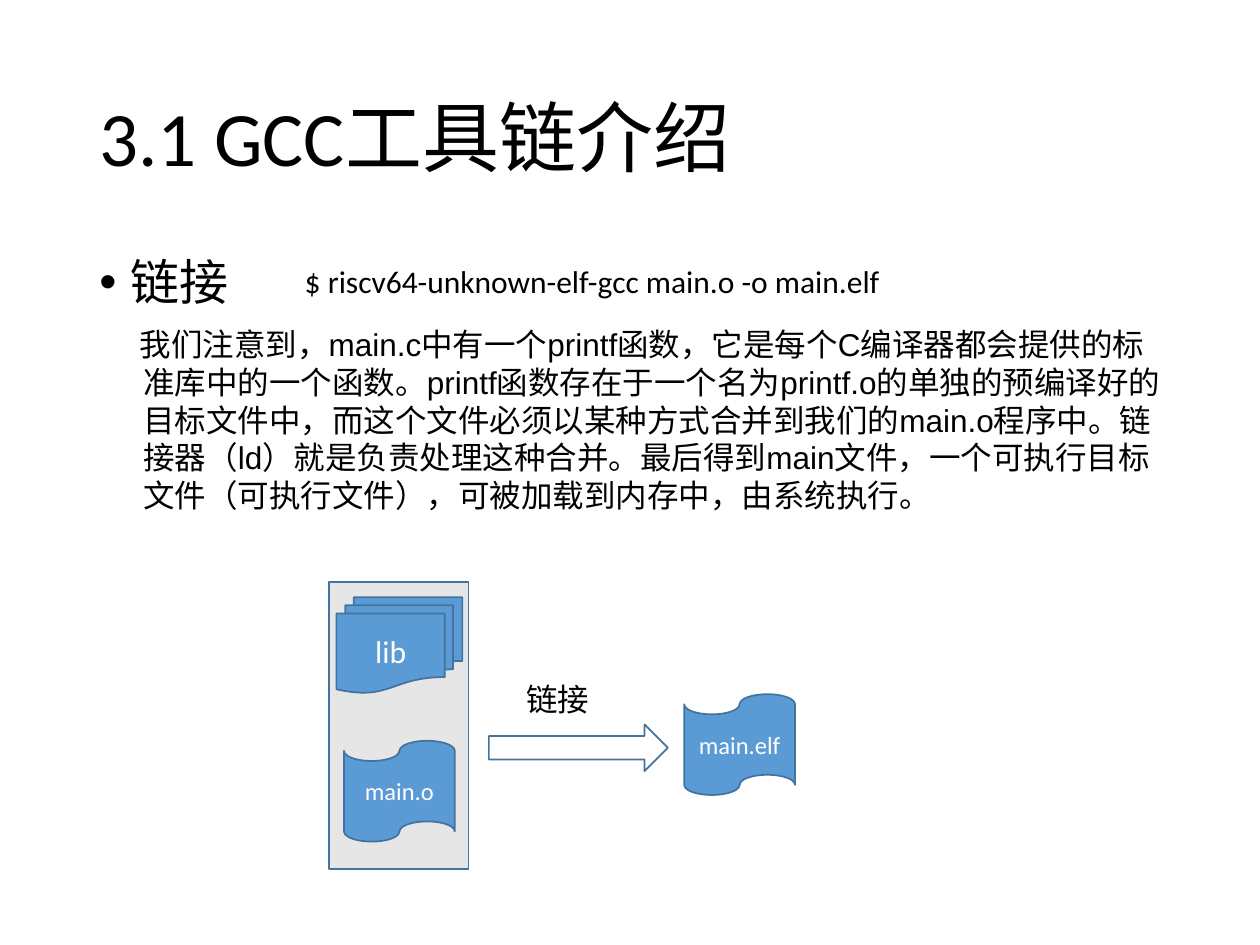
from pptx import Presentation
from pptx.dml.color import RGBColor
from pptx.enum.shapes import MSO_SHAPE
from pptx.enum.text import MSO_ANCHOR, PP_ALIGN
from pptx.oxml import parse_xml
from pptx.oxml.ns import nsdecls
from pptx.util import Inches, Pt

BLUE, EDGE, GREY = "5B9BD5", "43739E", "E7E6E6"
BLACK, WHITE = "000000", "FFFFFF"
STORY = (
    "我们注意到，main.c中有一个printf函数，它是每个C编译器都会提供的标准库中的一个函数。"
    "printf函数存在于一个名为printf.o的单独的预编译好的目标文件中，"
    "而这个文件必须以某种方式合并到我们的main.o程序中。"
    "链接器（ld）就是负责处理这种合并。最后得到main文件，"
    "一个可执行目标文件（可执行文件），可被加载到内存中，由系统执行。"
)


def color(code):
    return RGBColor.from_string(code)


def apply(target, values):
    for name, value in values.items():
        setattr(target, name, value)


def write(frame, text, size, code=BLACK, font="Calibri", **layout):
    par = frame.paragraphs[0]
    apply(par, layout)
    run = par.add_run()
    run.text = text
    apply(run.font, {"name": font, "size": Pt(size)})
    run.font.color.rgb = color(code)
    return par


def label(slide, box, text, size, wrap=True, anchor=MSO_ANCHOR.TOP, **style):
    frame = slide.shapes.add_textbox(*map(Inches, box)).text_frame
    apply(frame, {"word_wrap": wrap, "vertical_anchor": anchor})
    return write(frame, text, size, **style)


def indent(par, left, first, bullet=None):
    props = par._p.get_or_add_pPr()
    props.set("marL", str(Inches(left)))
    props.set("indent", str(Inches(first)))
    if bullet:
        props.append(parse_xml(f'<a:buFont {nsdecls("a")} typeface="Arial"/>'))
        props.append(parse_xml(f'<a:buChar {nsdecls("a")} char="{bullet}"/>'))


def block(slide, kind, box, fill, text="", size=14):
    shape = slide.shapes.add_shape(kind, *map(Inches, box))
    shape.shadow.inherit = False
    shape.fill.solid()
    shape.fill.fore_color.rgb = color(fill)
    shape.line.color.rgb = color(EDGE)
    shape.line.width = Pt(1)
    if text:
        shape.text_frame.vertical_anchor = MSO_ANCHOR.MIDDLE
        write(shape.text_frame, text, size, WHITE, alignment=PP_ALIGN.CENTER)


def main():
    deck = Presentation()
    apply(deck, {"slide_width": Inches(10), "slide_height": Inches(7.5)})
    slide = deck.slides.add_slide(deck.slide_layouts[6])

    # Title and text
    label(slide, (0.69, 0.4, 8.62, 1.45), "3.1 GCC工具链介绍", 44,
          anchor=MSO_ANCHOR.MIDDLE, line_spacing=0.9)
    point = label(slide, (0.69, 2, 8.62, 4.76), "链接", 28,
                  line_spacing=0.9, space_before=Pt(10))
    indent(point, 0.25, -0.25, "•")
    story = label(slide, (0.85, 2.53, 8.46, 2.03), STORY, 18, font="Arial")
    indent(story, 0.19, -0.03)
    label(slide, (2.32, 2.03, 4.82, 0.4),
          "$ riscv64-unknown-elf-gcc main.o -o main.elf", 18, wrap=False)

    # Linker inputs
    tape = MSO_SHAPE.FLOWCHART_PUNCHED_TAPE
    block(slide, MSO_SHAPE.RECTANGLE, (2.61, 4.62, 1.11, 2.28), GREY)
    block(slide, MSO_SHAPE.FLOWCHART_MULTIDOCUMENT, (2.67, 4.74, 1, 0.76),
          BLUE, "lib", 18)
    block(slide, tape, (2.73, 5.88, 0.88, 0.8), BLUE, "main.o")

    # Link step and its result
    block(slide, MSO_SHAPE.RIGHT_ARROW, (3.88, 5.75, 1.42, 0.37), WHITE)
    label(slide, (4.08, 5.35, 0.71, 0.4), "链接", 18, wrap=False)
    block(slide, tape, (5.43, 5.51, 0.88, 0.8), BLUE, "main.elf")

    deck.save("out.pptx")


if __name__ == "__main__":
    main()
